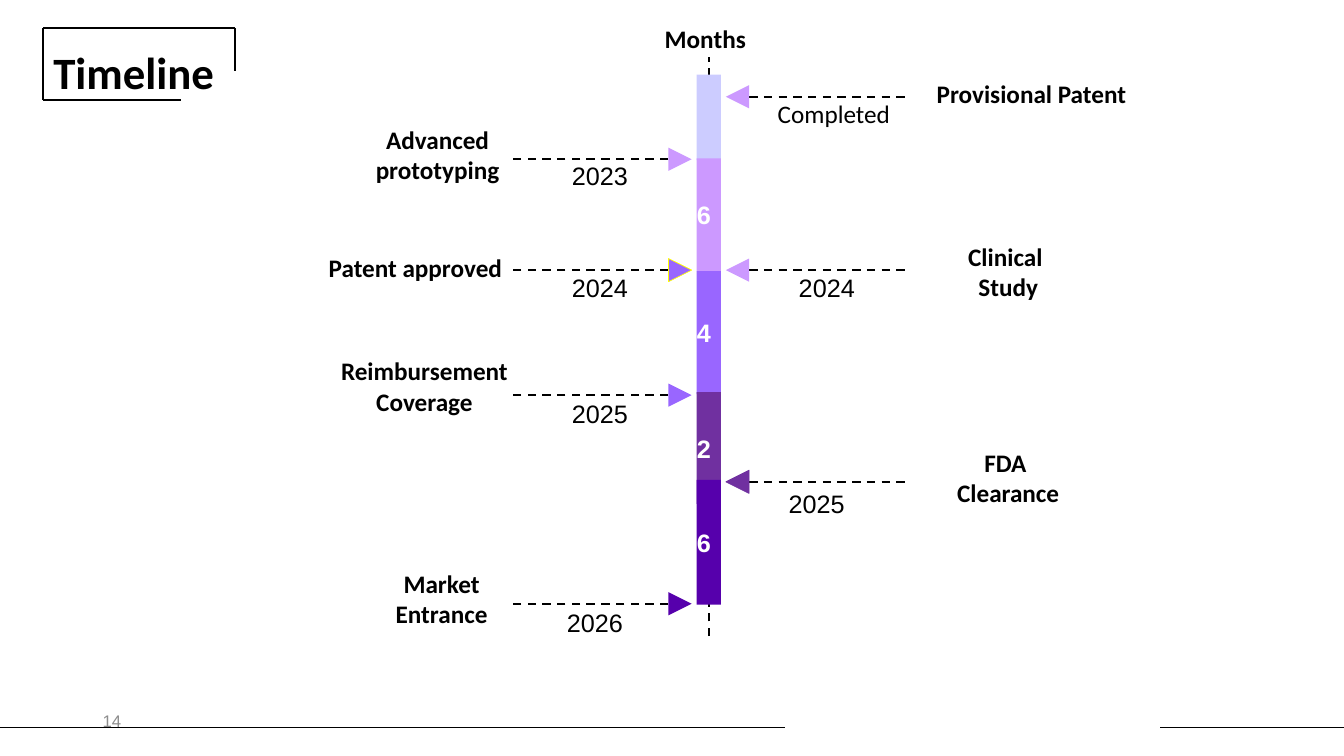
from dataclasses import dataclass
from typing import Optional

from lxml.etree import SubElement
from pptx import Presentation
from pptx.dml.color import RGBColor
from pptx.enum.dml import MSO_LINE
from pptx.enum.shapes import MSO_CONNECTOR, MSO_SHAPE
from pptx.enum.text import MSO_ANCHOR, PP_ALIGN
from pptx.oxml.ns import qn
from pptx.util import Inches, Pt

BLACK = RGBColor(0x00, 0x00, 0x00)
WHITE = RGBColor(0xFF, 0xFF, 0xFF)
GREY = RGBColor(0x8C, 0x8C, 0x8C)
YELLOW = RGBColor(0xFF, 0xFF, 0x00)
PERIWINKLE = RGBColor(0xCC, 0xCC, 0xFF)
LILAC = RGBColor(0xCC, 0x99, 0xFF)
VIOLET = RGBColor(0x99, 0x66, 0xFF)
PURPLE = RGBColor(0x70, 0x30, 0xA0)
INDIGO = RGBColor(0x56, 0x00, 0xAC)

HEAD = 0.23  # arrowhead side
DASH = 1.55  # dashed arrow length


@dataclass
class Milestone:
    """Label centre and date centre are distances from the axis."""
    lines: tuple
    label_x: float
    label_y: float
    date: str
    date_x: float
    date_y: float
    arrow_y: float
    color: RGBColor
    outline: Optional[RGBColor] = None


# Positions down the axis are measured from the top of the timeline
MILESTONES = [
    Milestone(("Provisional Patent",), 3.2, 0.55, "Completed", 1.24, 0.75, 0.78, LILAC),
    Milestone(("Advanced", "prototyping"), -2.69, 1.0, "2023", -1.08, 1.36, 1.4, LILAC),
    Milestone(("Patent approved",), -2.91, 2.27, "2024", -1.08, 2.47, 2.5, VIOLET, YELLOW),
    Milestone(("Clinical ", "Study"), 2.97, 2.16, "2024", 1.17, 2.47, 2.5, LILAC),
    Milestone(("Reimbursement", "Coverage"), -2.82, 3.3, "2025", -1.08, 3.72, 3.74, VIOLET),
    Milestone(("FDA ", "Clearance"), 2.97, 4.21, "2025", 1.07, 4.62, 4.6, PURPLE, PURPLE),
    Milestone(("Market", "Entrance"), -2.65, 5.41, "2026", -1.13, 5.8, 5.81, INDIGO),
]

# Months, top, height, colour
PHASES = [
    ("", 0.56, 0.85, PERIWINKLE),
    ("6", 1.39, 1.12, LILAC),
    ("4", 2.51, 1.22, VIOLET),
    ("2", 3.71, 1.11, PURPLE),
    ("6", 4.58, 1.24, INDIGO),
]


def add_line(page, x1, y1, x2, y2, width=1.5, dashed=False):
    line = page.shapes.add_connector(
        MSO_CONNECTOR.STRAIGHT, Inches(x1), Inches(y1), Inches(x2), Inches(y2))
    line.line.color.rgb = BLACK
    line.line.width = Pt(width)
    if dashed:
        line.line.dash_style = MSO_LINE.DASH
    SubElement(line._element.spPr, qn("a:effectLst"))


def write(frame, lines, size=18, color=BLACK, bold=False,
          align=PP_ALIGN.CENTER, font="Calibri"):
    """Fill a frame with one right-to-left paragraph and return it."""
    frame.word_wrap = True
    para = frame.paragraphs[0]
    para.alignment = align
    para._p.get_or_add_pPr().set("rtl", "1")
    for index, line in enumerate(lines):
        if index:
            para.add_line_break()
        span = para.add_run()
        span.text = line
        span.font.name = font
        span.font.size = Pt(size)
        span.font.bold = bold
        span.font.color.rgb = color
        # Right-to-left digits take the complex-script face
        SubElement(span.font._element, qn("a:cs")).set("typeface", "Arial")
    return para


def add_text(page, left, top, width, height, lines, **style):
    box = page.shapes.add_textbox(
        Inches(left), Inches(top), Inches(width), Inches(height))
    return box.text_frame, write(box.text_frame, lines, **style)


def add_filled(page, kind, left, top, width, height, color, outline=None):
    shape = page.shapes.add_shape(
        kind, Inches(left), Inches(top), Inches(width), Inches(height))
    shape.shadow.inherit = False
    shape.fill.solid()
    shape.fill.fore_color.rgb = color
    if outline is None:
        shape.line.fill.background()
    else:
        shape.line.color.rgb = outline
        shape.line.width = Pt(0.5)
    return shape


def add_title(page, left, top, width, height):
    _, para = add_text(page, left, top - 0.05, width + 0.05, height, ["Timeline"],
                       size=32, bold=True, align=PP_ALIGN.LEFT)
    para.line_spacing = Pt(50)
    # Open frame around the title
    right, bottom = left + width, top + height
    add_line(page, left, bottom, left + 1.37, bottom)
    add_line(page, left, top, right, top)
    add_line(page, left, top, left, bottom)
    add_line(page, right, top, right, top + 0.42)


def add_milestone(page, axis, top, item):
    side = 1 if item.label_x > 0 else -1
    y = top + item.arrow_y
    # Dashed arrow pointing at the axis
    head_x = axis + side * 0.285
    tail_x = axis + side * 0.4
    add_line(page, tail_x, y, tail_x + side * DASH, y, dashed=True)
    head = add_filled(page, MSO_SHAPE.ISOSCELES_TRIANGLE, head_x - HEAD / 2,
                      y - HEAD / 2, HEAD, HEAD, item.color, item.outline)
    head.rotation = 270 if side > 0 else 90
    # Label and date
    add_text(page, axis + item.label_x - 1.25, top + item.label_y, 2.5,
             0.1 + 0.3 * len(item.lines), item.lines, bold=True)
    add_text(page, axis + item.date_x - 0.74, top + item.date_y, 1.48, 0.4,
             [item.date])


def add_timeline(page, axis, top):
    add_text(page, axis - 0.67, top, 1.27, 0.4, ["Months"], bold=True)
    add_line(page, axis, top + 6.13, axis, top + 0.39, dashed=True)
    # Coloured phases along the axis
    for months, offset, height, color in PHASES:
        bar = add_filled(page, MSO_SHAPE.RECTANGLE, axis - 0.12, top + offset,
                         0.24, height, color)
        if months:
            bar.text_frame.vertical_anchor = MSO_ANCHOR.MIDDLE
            write(bar.text_frame, [months], color=WHITE, bold=True, font="Lato")
    for item in MILESTONES:
        add_milestone(page, axis, top, item)


def add_footer(page, top, width):
    frame, _ = add_text(page, 0.92, top, 3, 0.4, ["14"], size=12, color=GREY,
                        align=PP_ALIGN.LEFT)
    frame.vertical_anchor = MSO_ANCHOR.MIDDLE
    for start, end in ((0, 7.79), (11.51, width)):
        add_line(page, start, top + 0.27, end, top + 0.27, width=1)


def main():
    deck = Presentation()
    deck.slide_width, deck.slide_height = Inches(13.33), Inches(7.5)
    page = deck.slides.add_slide(deck.slide_layouts[6])
    add_footer(page, 6.95, 13.33)
    add_timeline(page, 7.03, 0.18)
    add_title(page, 0.43, 0.28, 1.9, 0.71)
    deck.save("out.pptx")


if __name__ == "__main__":
    main()
